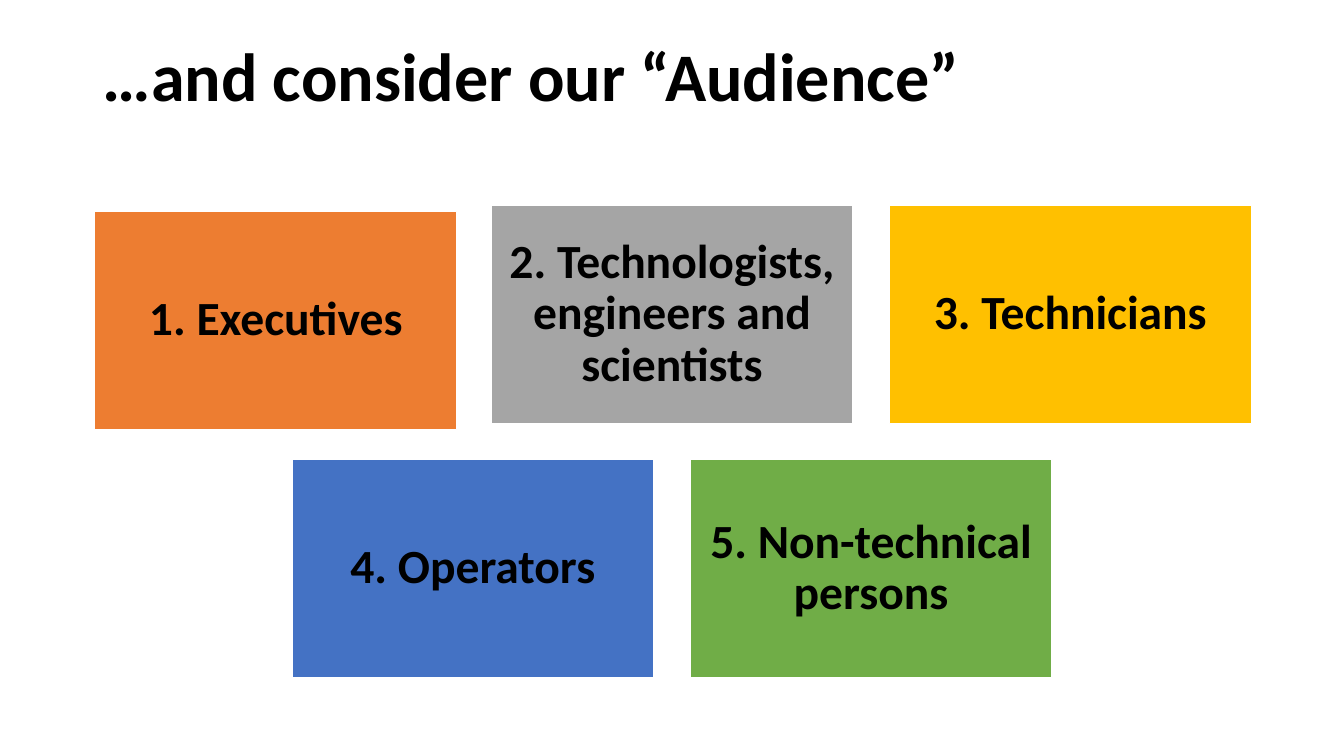
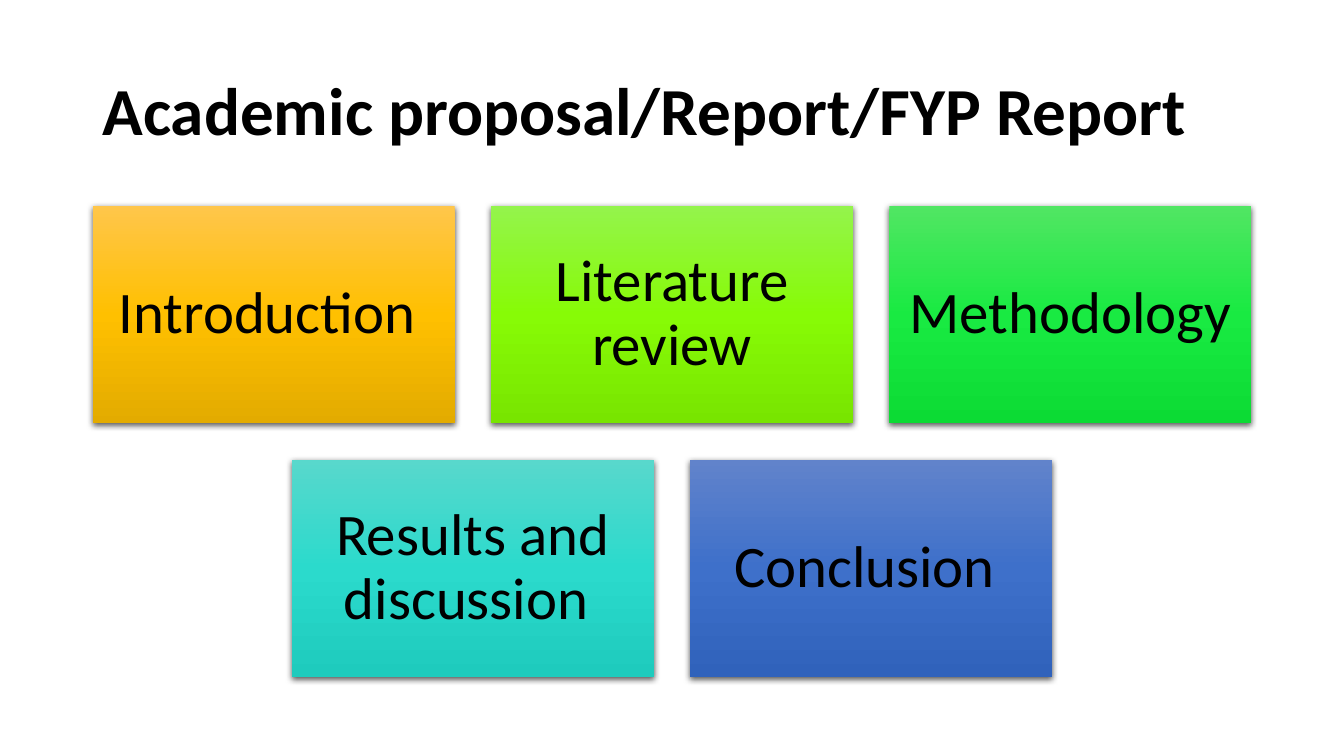
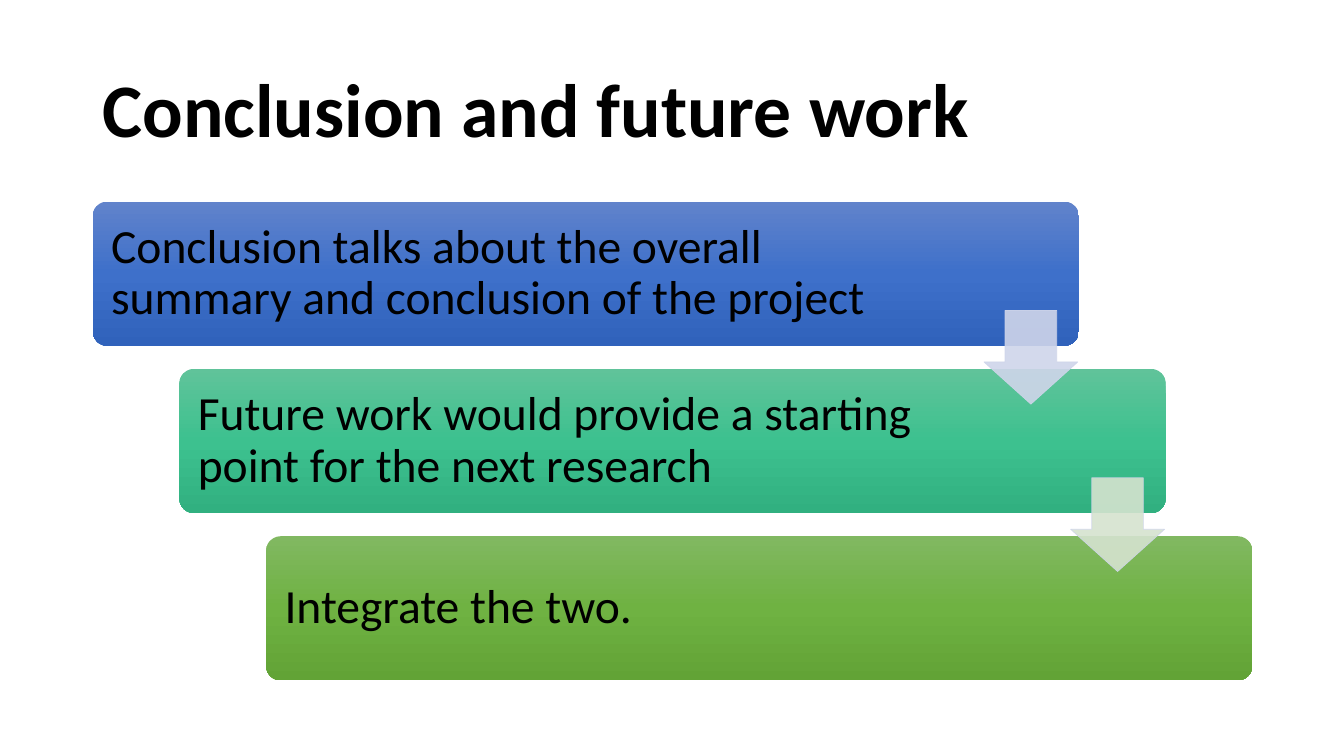
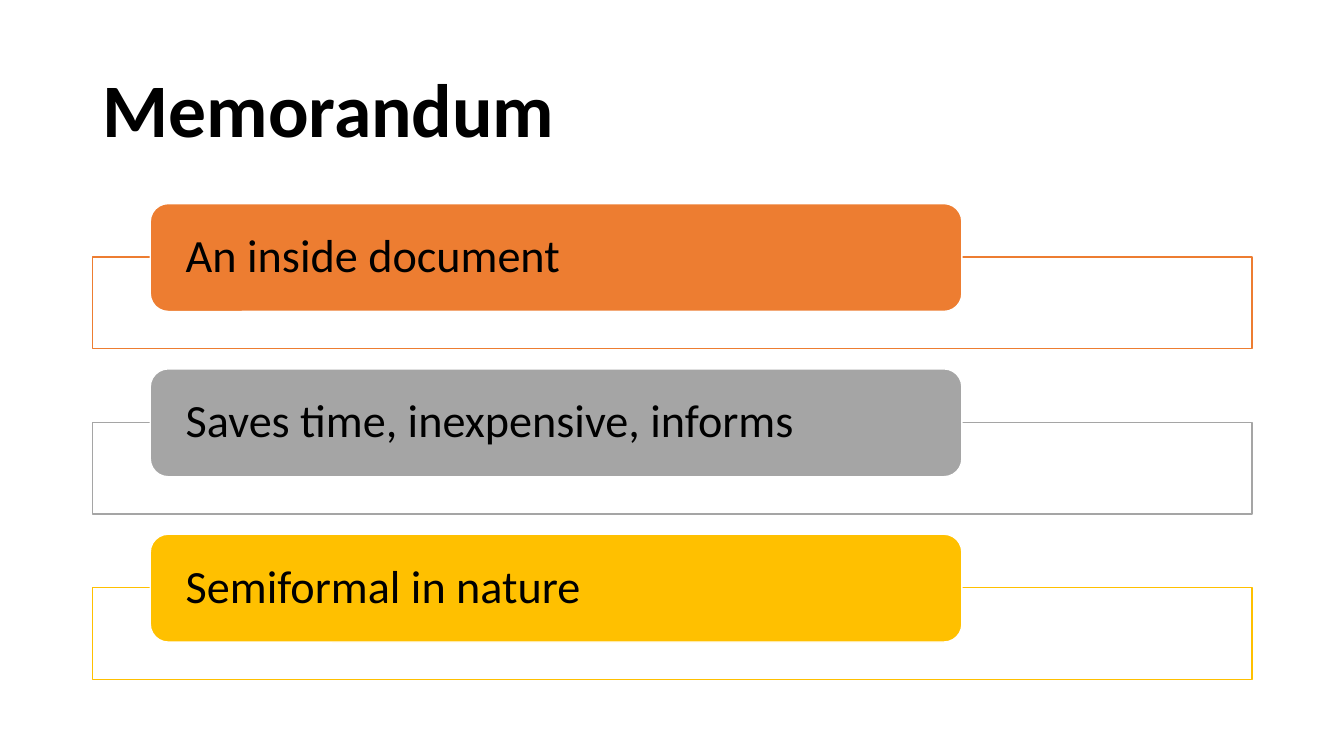
from lxml.etree import SubElement
from pptx import Presentation
from pptx.dml.color import RGBColor
from pptx.enum.shapes import MSO_SHAPE as Shape
from pptx.enum.text import MSO_ANCHOR as Anchor, PP_ALIGN as Align
from pptx.oxml.ns import qn
from pptx.util import Inches, Pt

COLORS = {
    "text": "000000", "white": "FFFFFF", "shadow": "000000",
    "orange": "ED7D31", "gray": "A5A5A5", "gold": "FFC000",
    "blue": "4472C4", "green": "70AD47",
    "pale blue": "CFD5EA", "pale green": "D5E3CF",
}
# Top, middle and bottom colour of each vertical gradient
GRADIENTS = {
    "amber": ("FFC64B", "FFC000", "E3AB00"),
    "lime": ("94F44C", "87FB06", "78E500"),
    "emerald": ("51E663", "19EA42", "0CDB34"),
    "turquoise": ("58D8CC", "2BDACC", "1ECBBD"),
    "royal": ("6183CB", "3E70CA", "3062BB"),
    "sea": ("60C39A", "3DC18F", "31B080"),
    "leaf": ("81B861", "6FB242", "62A336"),
}
LEFT, CONTENT_WIDTH = 0.92, 11.5
TILE_WIDTH, TILE_HEIGHT = 3.59, 2.16
TILE_TOP, COLUMN_STEP, ROW_STEP = 2.04, 3.95, 2.52
TILE_SPOTS = [(0, 0), (1, 0), (2, 0), (0.5, 1), (1.5, 1)]


class Deck:
    """Holds the shared style and the slide being filled."""

    font = "Calibri"

    def __init__(self):
        self.prs = Presentation()
        self.prs.slide_width, self.prs.slide_height = Inches(13.33), Inches(7.5)
        self.slide = None

    def start(self, title, size, height=1.45):
        self.slide = self.prs.slides.add_slide(self.prs.slide_layouts[6])
        heading = self.slide.shapes.add_textbox(
            Inches(LEFT), Inches(0.4), Inches(CONTENT_WIDTH), Inches(height))
        self.set_text(heading, title, size, bold=True)

    def set_text(self, shape, text, size, bold=False, align=Align.LEFT,
                 insets=(0.1, 0.05, 0.1, 0.05)):
        frame = shape.text_frame
        frame.word_wrap = True
        frame.vertical_anchor = Anchor.MIDDLE
        (frame.margin_left, frame.margin_top,
         frame.margin_right, frame.margin_bottom) = map(Inches, insets)
        paragraph = frame.paragraphs[0]
        paragraph.text = text
        paragraph.alignment = align
        paragraph.line_spacing = 0.9
        font = paragraph.font
        font.name, font.size, font.bold = self.font, Pt(size), bold
        font.color.rgb = RGBColor.from_string(COLORS["text"])

    def block(self, kind, left, top, width, height, fill, line=None, line_width=1,
              opacity=100, line_opacity=100, adjust=()):
        """Add a preset shape; fill names a plain colour or a gradient."""
        shape = self.slide.shapes.add_shape(
            kind, Inches(left), Inches(top), Inches(width), Inches(height))
        shape.shadow.inherit = False
        for index, value in enumerate(adjust):
            shape.adjustments[index] = value
        if fill in GRADIENTS:
            self.grade(shape, GRADIENTS[fill])
        else:
            self.paint(shape.fill, fill, opacity)
        if line:
            self.paint(shape.line.fill, line, line_opacity)
            shape.line.width = Pt(line_width)
        else:
            shape.line.fill.background()
        return shape

    def paint(self, fill, color, opacity):
        fill.solid()
        fill.fore_color.rgb = RGBColor.from_string(COLORS[color])
        if opacity < 100:
            solid = fill._xPr.find(qn("a:solidFill"))
            SubElement(solid[0], qn("a:alpha"), val=str(opacity * 1000))

    def grade(self, shape, stops):
        shape.fill.gradient()
        shape.fill.gradient_angle = 270
        stop_list = shape.element.spPr.find(".//" + qn("a:gsLst"))
        for old_stop in list(stop_list):
            stop_list.remove(old_stop)
        for index, color in enumerate(stops):
            stop = SubElement(stop_list, qn("a:gs"), pos=str(index * 50000))
            SubElement(stop, qn("a:srgbClr"), val=color)

    def cast_shadow(self, shape):
        effects = shape.element.spPr.find(qn("a:effectLst"))
        shadow = SubElement(
            effects, qn("a:outerShdw"), blurRad=str(Pt(4.5)), dist=str(Pt(1.5)),
            dir="5400000", algn="ctr", rotWithShape="0")
        color = SubElement(shadow, qn("a:srgbClr"), val=COLORS["shadow"])
        SubElement(color, qn("a:alpha"), val="63000")

    def tile(self, spot, text, fill, size, inset, bold=False, line=None, nudge=(0, 0), shadow=False):
        """Add a tile at a (column, row) spot of the grid."""
        column, row = spot
        tile = self.block(
            Shape.RECTANGLE, LEFT + column * COLUMN_STEP + nudge[0],
            TILE_TOP + row * ROW_STEP + nudge[1], TILE_WIDTH, TILE_HEIGHT, fill, line)
        if shadow:
            self.cast_shadow(tile)
        self.set_text(tile, text, size, bold, Align.CENTER, (inset,) * 4)

    def step(self, left, top, text, fill):
        card = self.block(Shape.ROUNDED_RECTANGLE, left, top, 9.78, 1.43, fill, adjust=(0.1,))
        self.set_text(card, text, 34, insets=(0.14, 0.14, 1.8, 0.14))

    def step_arrow(self, left, top, fill):
        self.block(Shape.DOWN_ARROW, left, top, 0.93, 0.93, fill, "pale blue", 0.5,
                   opacity=90, line_opacity=90, adjust=(0.55, 0.45))

    def labelled_frame(self, top, text, color):
        self.block(Shape.RECTANGLE, LEFT, top + 0.53, CONTENT_WIDTH, 0.91,
                   "white", color, opacity=90)
        label = self.block(Shape.ROUNDED_RECTANGLE, 1.49, top, 8.05, 1.07, color, "white")
        self.set_text(label, text, 33, insets=(0.3, 0, 0.3, 0))


def audience(deck):
    deck.start("…and consider our “Audience”", 48.6, height=0.78)
    groups = [
        ("1. Executives", "orange"),
        ("2. Technologists, engineers and scientists", "gray"),
        ("3. Technicians", "gold"),
        ("4. Operators", "blue"),
        ("5. Non-technical persons", "green"),
    ]
    for spot, (text, color) in zip(TILE_SPOTS, groups):
        nudge = (0.02, 0.06) if spot == (0, 0) else (0, 0)
        deck.tile(spot, text, color, 34, 0.14, bold=True, line="white", nudge=nudge)


def report_parts(deck):
    deck.start("Academic proposal/Report/FYP Report", 48)
    parts = [
        ("Introduction ", "amber"),
        ("Literature review", "lime"),
        ("Methodology ", "emerald"),
        ("Results and discussion ", "turquoise"),
        ("Conclusion ", "royal"),
    ]
    for spot, (text, gradient) in zip(TILE_SPOTS, parts):
        deck.tile(spot, text, gradient, 42, 0.17, shadow=True)


def conclusion(deck):
    deck.start("Conclusion and future work", 54)
    steps = [
        ("Conclusion talks about the overall summary and conclusion of the project", "royal"),
        ("Future work would provide a starting point for the next research", "sea"),
        ("Integrate the two.", "leaf"),
    ]
    corners = [(LEFT + 0.86 * i, 2 + 1.66 * i) for i in range(len(steps))]
    for (left, top), (text, gradient) in zip(corners, steps):
        deck.step(left, top, text, gradient)
    for (left, top), color in zip(corners, ["pale blue", "pale green"]):
        deck.step_arrow(left + 8.84, top + 1.08, color)


def memorandum(deck):
    deck.start("Memorandum", 54)
    traits = [
        ("An inside document", "orange"),
        ("Saves time, inexpensive, informs", "gray"),
        ("Semiformal in nature", "gold"),
    ]
    for index, (text, color) in enumerate(traits):
        deck.labelled_frame(2.02 + 1.64 * index, text, color)


def main():
    deck = Deck()
    for build in (audience, report_parts, conclusion, memorandum):
        build(deck)
    deck.prs.save("out.pptx")


if __name__ == "__main__":
    main()
